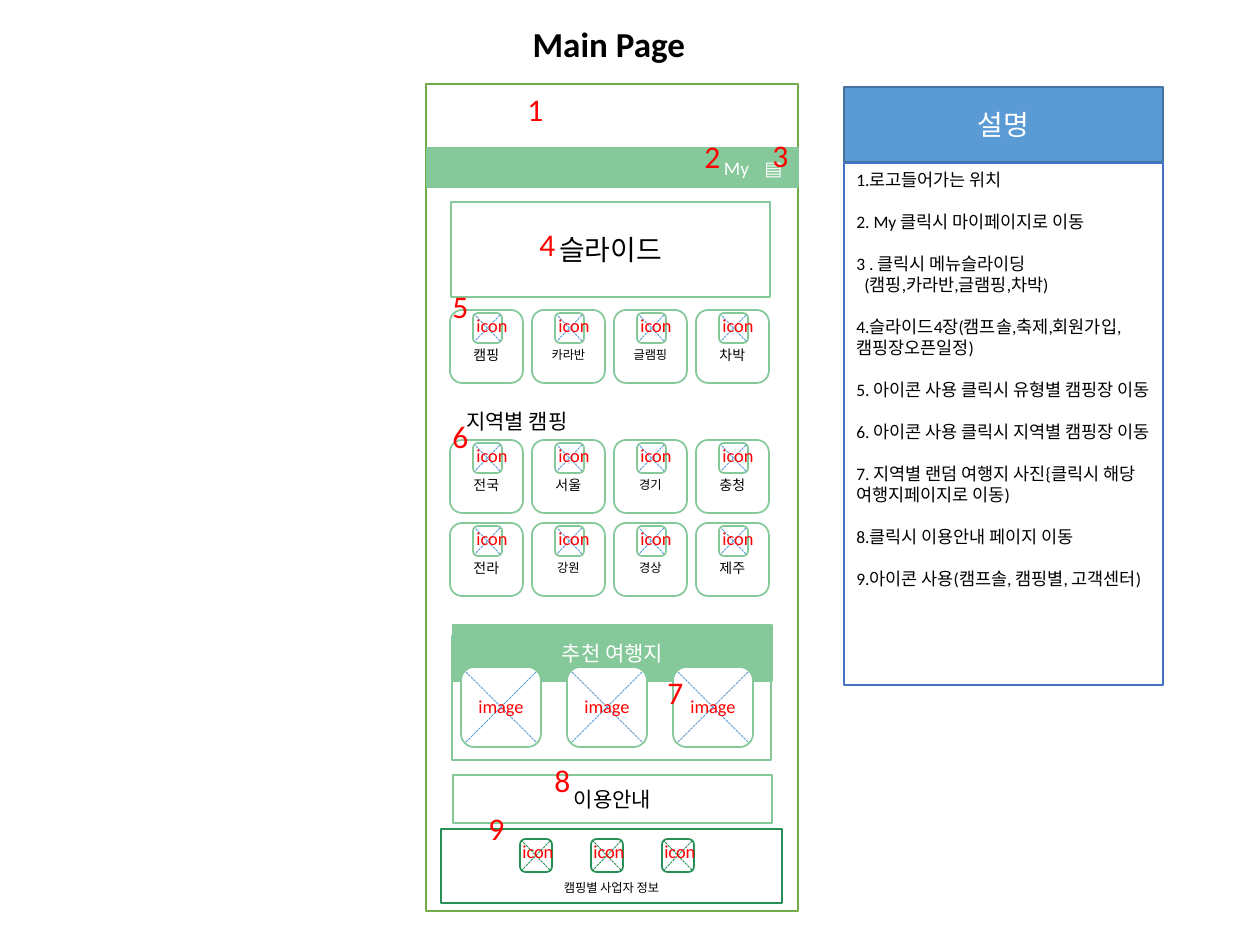
"""Build the wireframe of a camping site's main page with its numbered notes."""
from dataclasses import dataclass
from typing import Any

from pptx import Presentation
from pptx import util as u
from pptx.dml import color
from pptx.enum import dml, shapes, text
from pptx.oxml import xmlchemy
from pptx.oxml import ns
from lxml import etree

SCALE = 914400 / 126
COLORS = {
    "white": "FFFFFF", "black": "000000", "red": "FF0000", "mint": "85C89A",
    "forest": "2A8E57", "frame": "70AD47", "cross": "5B9BD5",
    "header": "5B9BD5", "header_line": "43739E", "notes_line": "4472C4",
}
RECT = shapes.MSO_SHAPE.RECTANGLE
ROUND = shapes.MSO_SHAPE.ROUNDED_RECTANGLE
LEFT, CENTER = text.PP_ALIGN.LEFT, text.PP_ALIGN.CENTER
TOP, MIDDLE, BOTTOM = (text.MSO_ANCHOR.TOP, text.MSO_ANCHOR.MIDDLE,
                       text.MSO_ANCHOR.BOTTOM)


@dataclass(frozen=True)
class Area:
    left: int
    top: int
    width: int
    height: int

    def emu(self) -> list[int]:
        return [px(n) for n in (self.left, self.top, self.width, self.height)]


@dataclass(frozen=True)
class Panel:
    area: Area
    line: str = "mint"
    fill: str | None = None
    label: str = ""
    size: float = 12
    ink: str = "black"


@dataclass(frozen=True)
class Tile:
    label: str
    size: int = 8


@dataclass(frozen=True)
class Marker:
    label: str
    left: int
    top: int


PANELS = [
    Panel(Area(426, 84, 372, 827), "frame", "white"),
    Panel(Area(451, 202, 319, 95), label="슬라이드", size=16),
    Panel(Area(452, 636, 319, 124), fill="white"),
    Panel(Area(453, 625, 319, 56), fill="mint", label="추천 여행지", ink="white"),
    Panel(Area(844, 87, 319, 75), "header_line", "header", "설명", 16, "white"),
    Panel(Area(453, 775, 319, 48), label="이용안내"),
    Panel(Area(427, 148, 371, 39), fill="mint"),
    Panel(Area(707, 151, 59, 33), label="My", size=11, ink="white"),
    Panel(Area(752, 151, 40, 33), label="▤", size=11, ink="white"),
]
TILE_ROWS = [
    (310, [Tile("캠핑"), Tile("카라반", 7), Tile("글램핑", 7), Tile("차박")]),
    (440, [Tile("전국"), Tile("서울"), Tile("경기", 7), Tile("충청")]),
    (523, [Tile("전라"), Tile("강원", 7), Tile("경상", 7), Tile("제주")]),
]
MARKERS = [
    Marker("1", 515, 84), Marker("2", 692, 131), Marker("3", 760, 130),
    Marker("4", 527, 219), Marker("5", 440, 281), Marker("6", 440, 411),
    Marker("7", 655, 667), Marker("8", 542, 755), Marker("9", 476, 803),
]
NOTES = [
    "1.로고들어가는 위치",
    "2. My 클릭시 마이페이지로 이동",
    "3 . 클릭시 메뉴슬라이딩",
    "(캠핑,카라반,글램핑,차박)",
    "4.슬라이드4장(캠프솔,축제,회원가입,캠핑장오픈일정)",
    "5. 아이콘 사용 클릭시 유형별 캠핑장 이동",
    "6. 아이콘 사용 클릭시 지역별 캠핑장 이동",
    "7. 지역별 랜덤 여행지 사진{클릭시 해당 여행지페이지로 이동)",
    "8.클릭시 이용안내 페이지 이동",
    "9.아이콘 사용(캠프솔, 캠핑별, 고객센터)",
]


def px(length: int) -> int:
    return round(length * SCALE)


def rgb(name: str) -> color.RGBColor:
    return color.RGBColor.from_string(COLORS[name])


def write(para: Any, words: str, *, size: float, ink: str = "black",
          align: Any = LEFT, bold: bool = False) -> None:
    para.alignment = align
    span = para.add_run()
    span.text = words
    span.font.name = "Calibri"
    span.font.size = u.Pt(size)
    span.font.bold = bold
    span.font.color.rgb = rgb(ink)


def add_box(parent: Any, area: Area, kind: Any = RECT, *, line: str = "mint",
            fill: str | None = "white", anchor: Any = MIDDLE) -> Any:
    box = parent.add_shape(kind, *area.emu())
    box.shadow.inherit = False
    if fill:
        box.fill.solid()
        box.fill.fore_color.rgb = rgb(fill)
    else:
        box.fill.background()
    box.line.color.rgb = rgb(line)
    box.line.width = u.Pt(1)
    box.text_frame.word_wrap = True
    box.text_frame.vertical_anchor = anchor
    return box


def add_label(parent: Any, area: Area, words: str, *, size: float,
              ink: str = "red", wrap: bool = True) -> None:
    frame = parent.add_textbox(*area.emu()).text_frame
    frame.word_wrap = wrap
    frame.auto_size = text.MSO_AUTO_SIZE.SHAPE_TO_FIT_TEXT
    write(frame.paragraphs[0], words, size=size, ink=ink)


def add_cross(parent: Any, area: Area, inset: int, line: str) -> None:
    left, top = area.left + inset, area.top + inset
    right = area.left + area.width - inset
    bottom = area.top + area.height - inset
    for start, end in ((bottom, top), (top, bottom)):
        stroke = parent.add_connector(shapes.MSO_CONNECTOR.STRAIGHT,
                                      px(right), px(start), px(left), px(end))
        stroke.line.color.rgb = rgb(line)
        stroke.line.width = u.Pt(0.5)
        stroke.line.dash_style = dml.MSO_LINE.SQUARE_DOT
        etree.SubElement(stroke._element.spPr, ns.qn("a:effectLst"))


def add_symbol(page: Any, area: Area, label: str, label_area: Area, *,
               inset: int = 2, line: str = "mint", cross: str = "cross") -> None:
    group = page.shapes.add_group_shape().shapes
    add_box(group, area, ROUND, line=line)
    add_cross(group, area, inset, cross)
    add_label(group, label_area, label, size=10.5)


def add_tile(page: Any, left: int, top: int, tile: Tile) -> None:
    box = add_box(page.shapes, Area(left, top, 73, 73), ROUND)
    box.text_frame.margin_top = px(23)
    write(box.text_frame.paragraphs[0], tile.label, size=tile.size, align=CENTER)
    add_symbol(page, Area(left + 23, top + 3, 29, 30), "icon",
               Area(left + 14, top - 2, 57, 35))


def add_notes(page: Any) -> None:
    box = add_box(page.shapes, Area(844, 163, 319, 522), line="notes_line",
                  anchor=TOP)
    frame = box.text_frame
    for index, note in enumerate(NOTES):
        para = frame.add_paragraph() if index else frame.paragraphs[0]
        write(para, note, size=10)
        if note.startswith("("):
            para._p.get_or_add_pPr().set("marL", str(px(8)))
        elif index:
            para.space_before = u.Pt(12)


def add_footer(page: Any) -> None:
    box = add_box(page.shapes, Area(441, 829, 341, 74), line="forest",
                  anchor=BOTTOM)
    box.text_frame.margin_bottom = px(8)
    write(box.text_frame.paragraphs[0], "캠핑별 사업자 정보", size=7, align=CENTER)
    for left in range(520, 663, 71):
        add_symbol(page, Area(left, 839, 32, 33), "icon",
                   Area(left - 10, 834, 62, 38), line="forest", cross="forest")


def main() -> None:
    deck = Presentation()
    deck.slide_width, deck.slide_height = px(1260), px(945)
    page = deck.slides.add_slide(deck.slide_layouts[5])
    title = page.shapes.title
    title.left, title.top, title.width, title.height = Area(520, 16, 179, 55).emu()
    title.text_frame.word_wrap = False
    write(title.text_frame.paragraphs[0], "Main Page", size=20, bold=True)

    for panel in PANELS:
        box = add_box(page.shapes, panel.area, line=panel.line, fill=panel.fill)
        if panel.label:
            write(box.text_frame.paragraphs[0], panel.label, size=panel.size,
                  ink=panel.ink, align=CENTER)
    add_notes(page)
    for top, tiles in TILE_ROWS:
        for column, tile in enumerate(tiles):
            add_tile(page, 450 + 82 * column, top, tile)
    for left in range(461, 674, 106):
        add_symbol(page, Area(left, 667, 80, 80), "image",
                   Area(left + 5, 689, 105, 35), inset=5)
    add_footer(page)
    add_label(page.shapes, Area(454, 402, 136, 38), "지역별 캠핑", size=12,
              ink="black", wrap=False)
    for marker in MARKERS:
        add_label(page.shapes, Area(marker.left, marker.top, 41, 50),
                  marker.label, size=18)
    deck.save("out.pptx")


if __name__ == "__main__":
    main()
